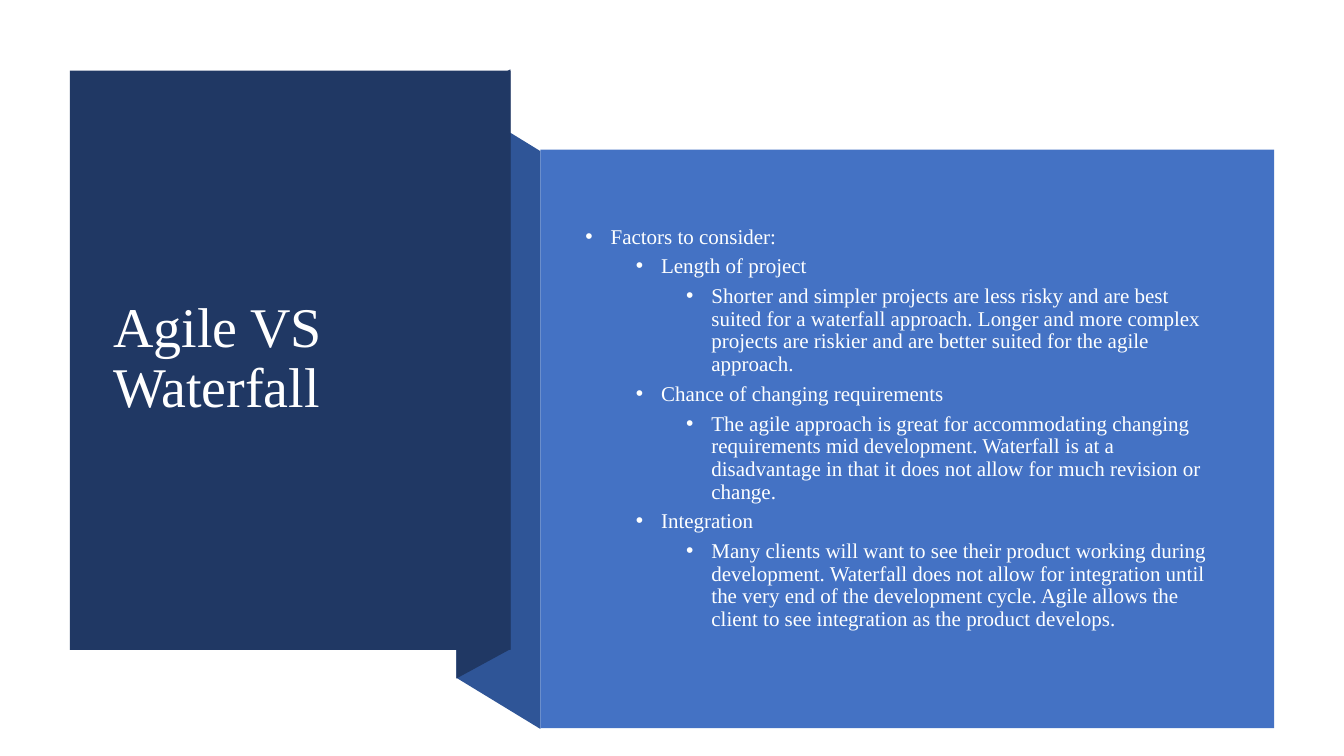
from lxml import etree
from pptx import Presentation
from pptx.dml.color import RGBColor
from pptx.enum.shapes import MSO_SHAPE
from pptx.enum.text import MSO_ANCHOR, MSO_AUTO_SIZE, PP_ALIGN
from pptx.oxml.ns import qn
from pptx.util import Cm, Pt

RECTANGLE = MSO_SHAPE.RECTANGLE
MIDDLE = MSO_ANCHOR.MIDDLE
NO_AUTOFIT = MSO_AUTO_SIZE.NONE
LEFT = PP_ALIGN.LEFT

FONT = "Times New Roman"
COLORS = {
    "cover": "203864",
    "ribbon": "2F5597",
    "panel": "4472C4",
    "title": "FFFFFF",
    "body": "FEFFFF",
}
INDENT_STEP = 1.27
BULLET_HANG = 0.635

# Level and text of each list entry
FACTORS = [
    (0, "Factors to consider:"),
    (1, "Length of project"),
    (2, "Shorter and simpler projects are less risky and are best suited for a "
        "waterfall approach. Longer and more complex projects are riskier and "
        "are better suited for the agile approach."),
    (1, "Chance of changing requirements"),
    (2, "The agile approach is great for accommodating changing requirements "
        "mid development. Waterfall is at a disadvantage in that it does not "
        "allow for much revision or change."),
    (1, "Integration"),
    (2, "Many clients will want to see their product working during "
        "development. Waterfall does not allow for integration until the very "
        "end of the development cycle. Agile allows the client to see "
        "integration as the product develops."),
]


def paint(shape, color):
    shape.shadow.inherit = False
    shape.fill.solid()
    shape.fill.fore_color.rgb = RGBColor.from_string(COLORS[color])
    shape.line.fill.background()


def add_rectangle(slide, box, color):
    shape = slide.shapes.add_shape(RECTANGLE, *map(Cm, box))
    paint(shape, color)


def add_polygon(slide, points, color):
    start, *others = [(Cm(x), Cm(y)) for x, y in points]
    builder = slide.shapes.build_freeform(*start)
    builder.add_line_segments(others, close=True)
    paint(builder.convert_to_shape(), color)


def place(placeholder, box):
    """Position a placeholder and bring it in front of the shapes."""
    placeholder.left, placeholder.top, placeholder.width, placeholder.height = map(Cm, box)
    frame = placeholder.text_frame
    frame.word_wrap = True
    frame.auto_size = NO_AUTOFIT
    frame.vertical_anchor = MIDDLE
    placeholder._element.getparent().append(placeholder._element)
    return frame


def write(paragraph, text, *, size, color, space_before=0):
    paragraph.alignment = LEFT
    paragraph.line_spacing = 0.9
    paragraph.space_before = Pt(space_before)
    run = paragraph.add_run()
    run.text = text
    run.font.name = FONT
    run.font.size = Pt(size)
    run.font.color.rgb = RGBColor.from_string(COLORS[color])


def add_bullet(paragraph, level):
    paragraph.level = level
    properties = paragraph._p.get_or_add_pPr()
    properties.set("marL", str(Cm(BULLET_HANG + level * INDENT_STEP)))
    properties.set("indent", str(-Cm(BULLET_HANG)))
    etree.SubElement(properties, qn("a:buFont"), typeface="Arial")
    etree.SubElement(properties, qn("a:buChar"), char="•")


def fill_list(frame, entries):
    for index, (level, text) in enumerate(entries):
        paragraph = frame.add_paragraph() if index else frame.paragraphs[0]
        write(paragraph, text, size=15, color="body", space_before=5 if level else 10)
        add_bullet(paragraph, level)


def main():
    presentation = Presentation()
    presentation.slide_width = Cm(33.87)
    presentation.slide_height = Cm(19.05)
    slide = presentation.slides.add_slide(presentation.slide_layouts[1])

    # Folded ribbon joining the cover and the panel
    add_polygon(slide, [(13.62, 18.37), (11.5, 17.08), (11.5, 2.51), (13.62, 3.81)], "ribbon")
    add_polygon(slide, [(12.86, 16.36), (11.5, 17.1), (11.5, 2.49), (12.86, 1.75)], "cover")

    # Title cover and list panel
    add_rectangle(slide, (1.76, 1.78, 11.11, 14.6), "cover")
    add_rectangle(slide, (13.62, 3.77, 18.49, 14.58), "panel")

    # Texts
    title, body = slide.placeholders
    title_frame = place(title, (2.6, 2.72, 9.42, 12.67))
    write(title_frame.paragraphs[0], "Agile VS Waterfall", size=40, color="title")
    fill_list(place(body, (14.5, 4.78, 16.54, 12.04)), FACTORS)

    presentation.save("out.pptx")


main()
